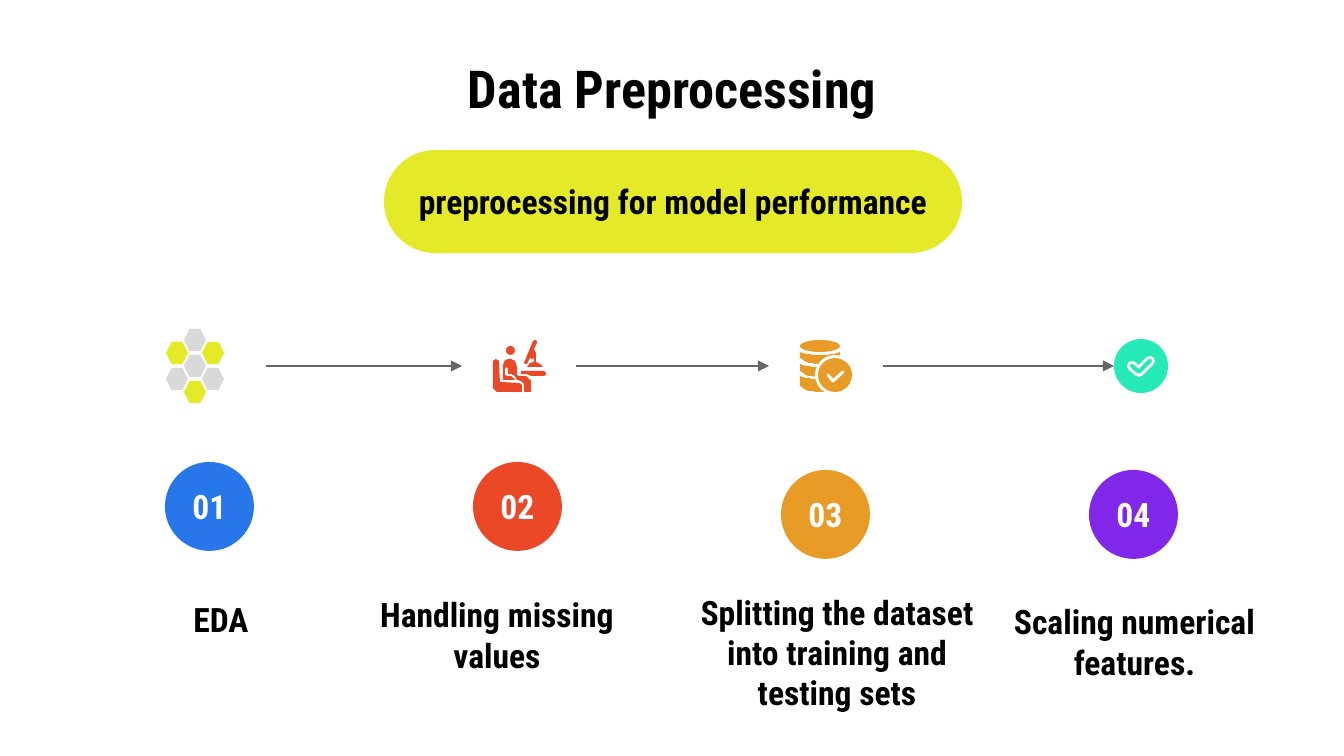
from math import cos, pi, sin

from lxml.etree import SubElement
from pptx import Presentation
from pptx.dml.color import RGBColor
from pptx.enum.shapes import MSO_CONNECTOR as CONNECTOR, MSO_SHAPE as SHAPE
from pptx.enum.text import MSO_ANCHOR as ANCHOR, PP_ALIGN as ALIGN
from pptx.oxml.ns import qn
from pptx.util import Pt

PX = 914400 / 134.4  # EMU in one px

BLACK = RGBColor(0x00, 0x00, 0x00)
WHITE = RGBColor(0xFF, 0xFF, 0xFF)
GRAY = RGBColor(0x66, 0x66, 0x66)
SILVER = RGBColor(0xD9, 0xD9, 0xD9)
LIME = RGBColor(0xE4, 0xEA, 0x27)
BLUE = RGBColor(0x27, 0x76, 0xEA)
RED = RGBColor(0xEA, 0x48, 0x27)
ORANGE = RGBColor(0xE9, 0x9B, 0x27)
PURPLE = RGBColor(0x80, 0x27, 0xEA)
TEAL = RGBColor(0x26, 0xEA, 0xB8)


def emu(*lengths):
    return [round(length * PX) for length in lengths]


class SlideBuilder:
    """Holds the style and the current slide."""

    FONT = {"name": "Roboto Condensed", "bold": True}
    FRAME = {"word_wrap": True, "vertical_anchor": ANCHOR.MIDDLE}
    INSETS = ("margin_left", "margin_top", "margin_right", "margin_bottom")

    def __init__(self, slide):
        self.shapes = slide.shapes

    def caption(self, shape, text, size, color):
        frame = shape.text_frame
        inset, = emu(13)
        for key, value in {**self.FRAME, **dict.fromkeys(self.INSETS, inset)}.items():
            setattr(frame, key, value)
        paragraph = frame.paragraphs[0]
        paragraph.alignment = ALIGN.CENTER
        run = paragraph.add_run()
        run.text = text
        for key, value in {**self.FONT, "size": Pt(size)}.items():
            setattr(run.font, key, value)
        run.font.color.rgb = color

    def text(self, box, text, size=18):
        self.caption(self.shapes.add_textbox(*emu(*box)), text, size, BLACK)

    def paint(self, shape, fill):
        shape.shadow.inherit = False
        shape.fill.solid()
        shape.fill.fore_color.rgb = fill
        shape.line.fill.background()
        return shape

    def preset(self, kind, box, fill):
        return self.paint(self.shapes.add_shape(kind, *emu(*box)), fill)

    def freeform(self, points, close):
        builder = self.shapes.build_freeform(*points[0], scale=PX)
        builder.add_line_segments(points[1:], close=close)
        return builder.convert_to_shape()

    def outline(self, points, fill):
        self.paint(self.freeform(points, True), fill)

    def stroke(self, points, color, width):
        shape = self.freeform(points, False)
        shape.shadow.inherit = False
        shape.fill.background()
        shape.line.color.rgb = color
        shape.line.width, = emu(width)
        line = shape._element.spPr.find(qn("a:ln"))
        line.set("cap", "rnd")
        SubElement(line, qn("a:round"))

    def arrow(self, left, right, y):
        arrow = self.shapes.add_connector(CONNECTOR.STRAIGHT, *emu(left, y, right, y))
        arrow.line.color.rgb = GRAY
        arrow.line.width = Pt(0.75)
        properties = arrow._element.spPr
        SubElement(properties.find(qn("a:ln")), qn("a:tailEnd"), type="triangle")
        SubElement(properties, qn("a:effectLst"))


def half_ellipse(center, edge, radius, sag):
    """Points of a downward arc, from left to right."""
    angles = [pi * step / 16 for step in range(17)]
    return [(center - radius * cos(a), edge + sag * sin(a)) for a in angles]


def draw_honeycomb(builder):
    cells = [(1, 0, SILVER), (2, 1, LIME), (1, 2, SILVER), (2, 3, SILVER),
             (0, 1, LIME), (0, 3, SILVER), (1, 4, LIME)]
    for column, row, color in cells:
        builder.preset(SHAPE.HEXAGON, (166 + 18 * column, 329 + 13 * row, 22, 22), color)


def draw_desk_worker(builder):
    builder.preset(SHAPE.OVAL, (506, 346, 9, 9), RED)
    microscope = [(535, 340), (533, 341), (524, 363), (525, 364), (527, 364),
                  (530, 358), (532, 359), (534, 358), (534, 362), (530, 363),
                  (527, 367), (543, 367), (540, 364), (536, 362), (536, 353),
                  (534, 349), (537, 343), (537, 341)]
    chair = [(493, 361), (496, 359), (499, 361), (500, 382), (519, 383),
             (522, 385), (522, 392), (497, 392), (493, 388)]
    body = [(509, 359), (505, 360), (503, 365), (503, 380), (515, 380), (511, 376),
            (507, 376), (505, 375), (505, 369), (507, 367), (508, 369), (508, 374),
            (511, 374), (515, 376), (517, 380), (521, 381), (524, 384), (524, 392),
            (531, 392), (531, 381), (526, 376), (519, 376), (517, 375), (517, 367),
            (515, 361), (511, 359)]
    desk = [(521, 371), (544, 371), (546, 373), (546, 375), (544, 376), (531, 376),
            (526, 374), (521, 374)]
    for part in (microscope, chair, body, desk):
        builder.outline(part, RED)


def draw_database(builder):
    builder.preset(SHAPE.OVAL, (800, 340, 40, 12), ORANGE)
    for top, bottom in ((351, 356), (363, 369), (375, 384)):
        upper = half_ellipse(820, top, 20, 4)
        lower = half_ellipse(820, bottom, 20, 8)
        builder.outline(upper + lower[::-1], ORANGE)
    builder.preset(SHAPE.OVAL, (815, 355, 40, 40), WHITE)
    builder.preset(SHAPE.OVAL, (818, 358, 34, 34), ORANGE)
    builder.stroke([(828, 375), (833, 381), (843, 372)], WHITE, 3)


def draw_check_badge(builder):
    builder.preset(SHAPE.OVAL, (1114, 339, 54, 54), TEAL)
    check = [(1132, 366), (1139, 372), (1150, 361)]
    for color, width in ((WHITE, 10), (TEAL, 4)):
        builder.stroke(check, color, width)


def main():
    deck = Presentation()
    deck.slide_width, deck.slide_height = emu(1344, 756)
    builder = SlideBuilder(deck.slides.add_slide(deck.slide_layouts[6]))

    # Heading
    builder.text((67, 60, 1210, 55), "Data Preprocessing", 28)
    pill = builder.preset(SHAPE.ROUNDED_RECTANGLE, (384, 150, 578, 103), LIME)
    pill.adjustments[0] = 0.5
    builder.text((405, 160, 536, 82), "preprocessing for model performance")

    # Row of icons joined by arrows
    for left, right in ((266, 462), (576, 769), (883, 1114)):
        builder.arrow(left, right, 366)
    for draw in (draw_honeycomb, draw_desk_worker, draw_database, draw_check_badge):
        draw(builder)

    # Numbered steps
    steps = [
        (BLUE, 462, (67, 578, 308, 82), "EDA"),
        (RED, 462, (343, 578, 308, 113), "Handling missing values"),
        (ORANGE, 470, (683, 581, 308, 142),
         "Splitting the dataset into training and testing sets"),
        (PURPLE, 470, (992, 590, 285, 103), "Scaling numerical features."),
    ]
    for index, (color, top, label_box, label) in enumerate(steps):
        circle = builder.preset(SHAPE.OVAL, (165 + 308 * index, top, 89, 89), color)
        builder.caption(circle, f"{index + 1:02}", 18, WHITE)
        builder.text(label_box, label)

    deck.save("out.pptx")


if __name__ == "__main__":
    main()
